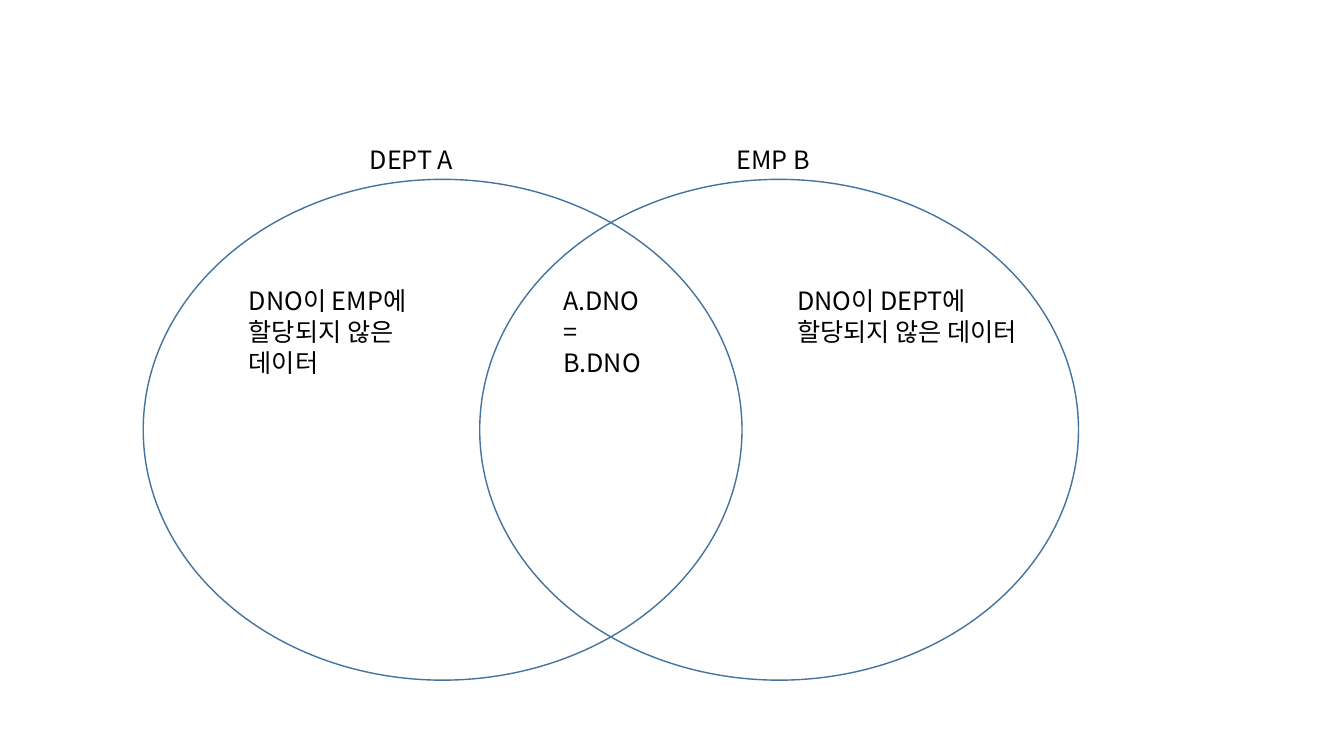
from lxml.etree import SubElement
from pptx import Presentation
from pptx.dml.color import RGBColor
from pptx.enum.shapes import MSO_SHAPE
from pptx.oxml.ns import qn
from pptx.util import Cm, Pt

# Positions and sizes in centimetres
CIRCLE_LEFTS = (3.61, 12.09)
CIRCLE_TOP, CIRCLE_WIDTH, CIRCLE_HEIGHT = 4.52, 15.09, 12.62
LABEL_TOP, REGION_TOP = 3.51, 7.06
LINE_HEIGHT, PADDING = 0.77, 0.25

# left, top, width, lines shown, paragraphs
LABELS = [
    (9.07, LABEL_TOP, 3.02, 1, ["DEPT A"]),
    (18.31, LABEL_TOP, 3.02, 1, ["EMP B"]),
    (13.94, REGION_TOP, 2.87, 3, ["A.DNO", "= B.DNO"]),
    (6.02, REGION_TOP, 5.51, 3, ["DNO이 EMP에 할당되지 않은 데이터"]),
    (19.84, REGION_TOP, 6.22, 2, ["DNO이 DEPT에 할당되지 않은 데이터"]),
]

FONT = "Noto Sans CJK KR"
BLUE = RGBColor(0x43, 0x73, 0x9E)
BLACK = RGBColor(0, 0, 0)


def add_circle(slide, left):
    circle = slide.shapes.add_shape(
        MSO_SHAPE.OVAL, Cm(left), Cm(CIRCLE_TOP), Cm(CIRCLE_WIDTH), Cm(CIRCLE_HEIGHT))
    circle.shadow.inherit = False
    circle.fill.background()
    circle.line.color.rgb = BLUE
    circle.line.width = Pt(1)


def add_label(slide, left, top, width, lines, paragraphs):
    height = lines * LINE_HEIGHT + PADDING
    frame = slide.shapes.add_textbox(Cm(left), Cm(top), Cm(width), Cm(height)).text_frame
    frame.word_wrap = True
    for index, text in enumerate(paragraphs):
        paragraph = frame.add_paragraph() if index else frame.paragraphs[0]
        paragraph.line_spacing = Pt(22)
        run = paragraph.add_run()
        run.text = text
        run.font.name = FONT
        run.font.size = Pt(18)
        run.font.color.rgb = BLACK
        SubElement(run.font._element, qn("a:ea"), typeface=FONT)


def main():
    prs = Presentation()
    prs.slide_width, prs.slide_height = Cm(33.87), Cm(19.05)
    slide = prs.slides.add_slide(prs.slide_layouts[6])
    for left in CIRCLE_LEFTS:
        add_circle(slide, left)
    for label in LABELS:
        add_label(slide, *label)
    prs.save("out.pptx")


if __name__ == "__main__":
    main()
